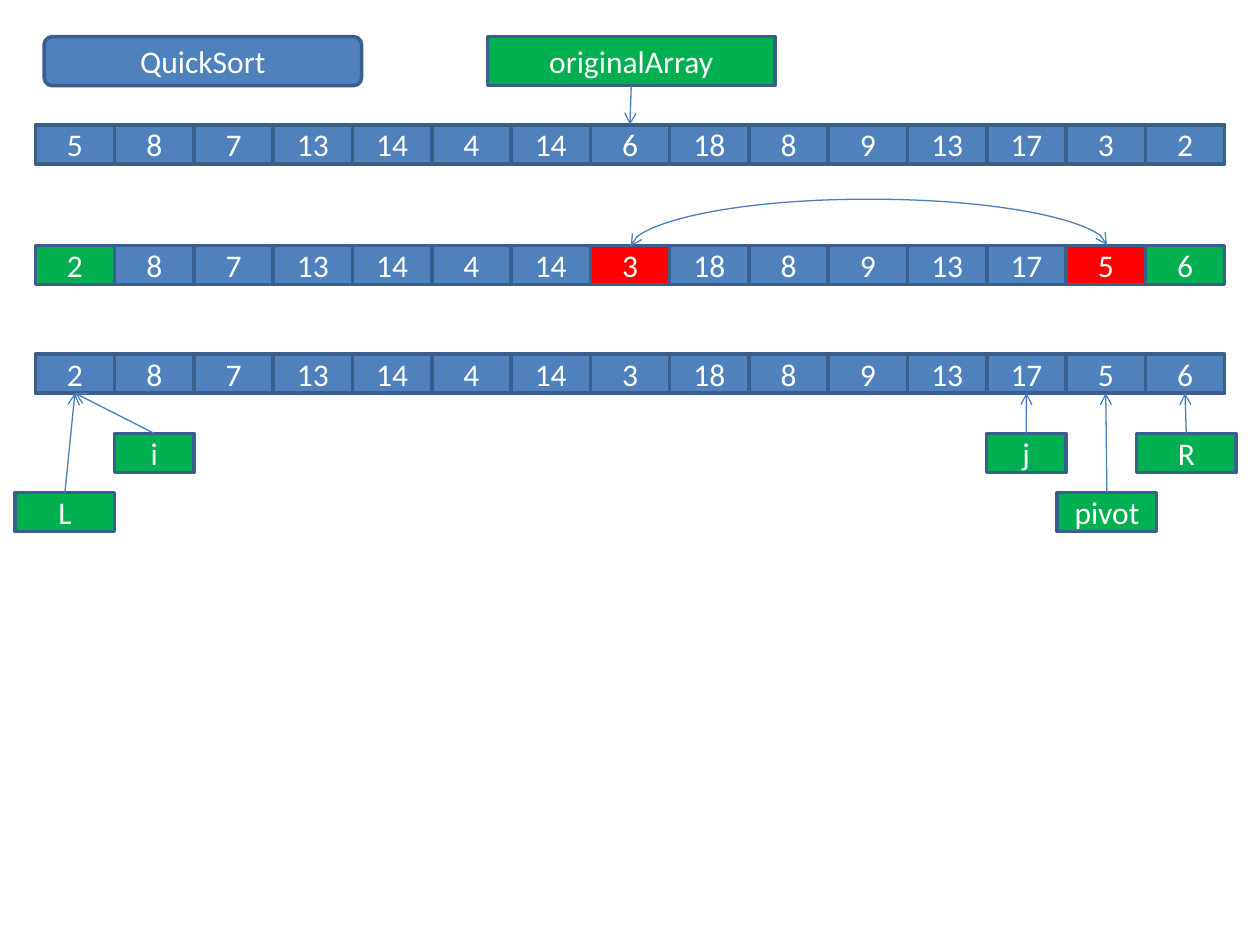
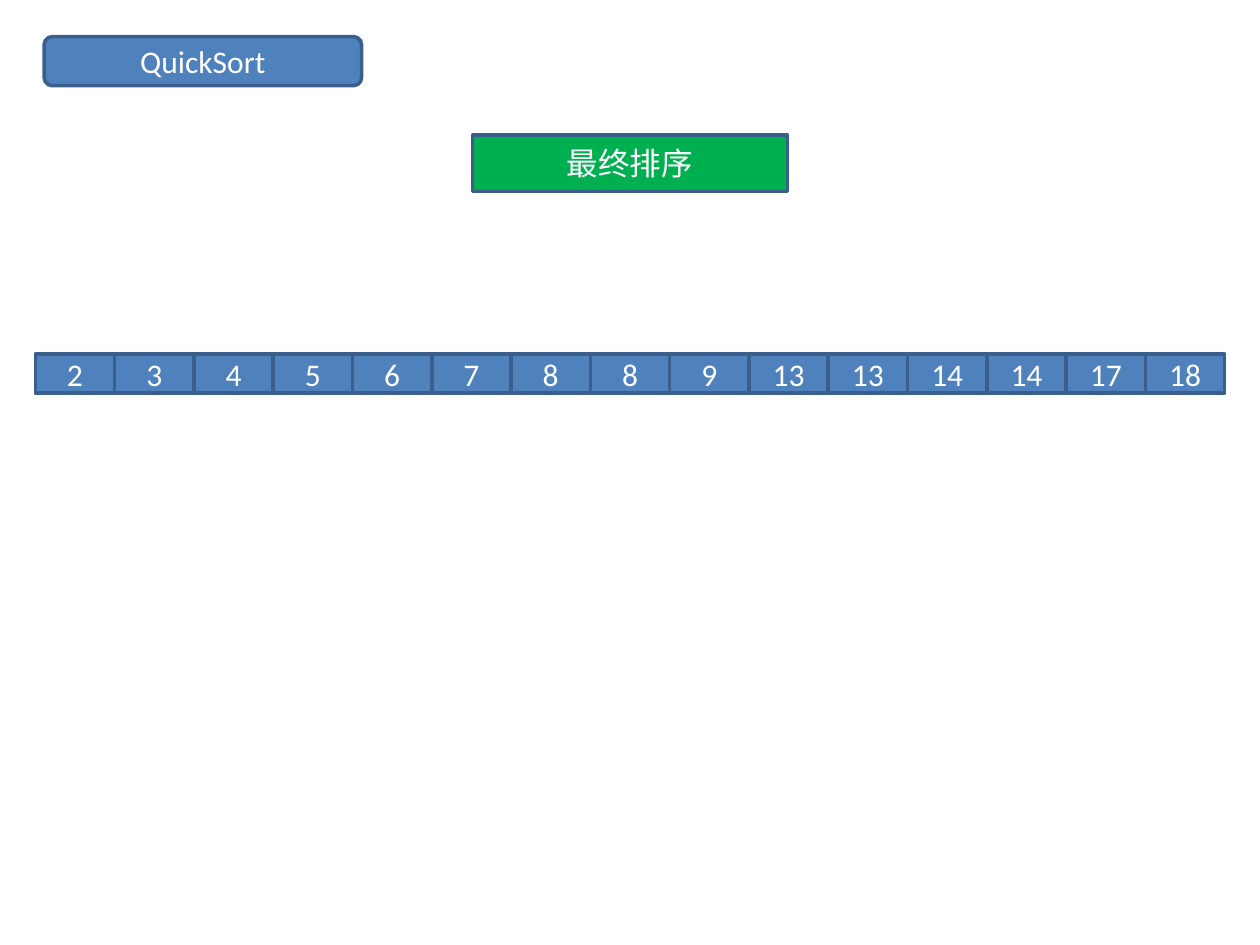
"""Build two slides that show a quicksort step and the sorted result."""
from pptx import Presentation
from pptx.dml.color import RGBColor
from pptx.enum.shapes import MSO_CONNECTOR, MSO_SHAPE
from pptx.enum.text import MSO_ANCHOR, PP_ALIGN
from pptx.oxml.ns import qn
from pptx.util import Inches, Pt
from lxml.etree import SubElement

BLUE, GREEN, RED = "4F81BD", "00B050", "FF0000"
EDGE, LINK, WHITE = "3A5F8C", "4B7EBC", "FFFFFF"
LEFT, STEP, HIGH = 0.28, 9.44 / 15, 0.31


def box(slide, text, x, y, w=STEP, h=HIGH, fill=BLUE, kind=MSO_SHAPE.RECTANGLE):
    shape = slide.shapes.add_shape(kind, Inches(x), Inches(y), Inches(w), Inches(h))
    shape.shadow.inherit = False
    shape.fill.solid()
    shape.fill.fore_color.rgb = RGBColor.from_string(fill)
    shape.line.color.rgb = RGBColor.from_string(EDGE)
    shape.line.width = Pt(2)
    frame = shape.text_frame
    frame.word_wrap = True
    frame.vertical_anchor = MSO_ANCHOR.MIDDLE
    para = frame.paragraphs[0]
    para.alignment = PP_ALIGN.CENTER
    run = para.add_run()
    run.text = text
    run.font.name = "Calibri"
    run.font.size = Pt(18)
    run.font.color.rgb = RGBColor.from_string(WHITE)


def arrow(slide, x1, y1, x2, y2, kind=MSO_CONNECTOR.STRAIGHT, ends=("a:tailEnd",)):
    link = slide.shapes.add_connector(kind, Inches(x1), Inches(y1), Inches(x2), Inches(y2))
    link.line.color.rgb = RGBColor.from_string(LINK)
    link.line.width = Pt(0.75)
    props = link._element.spPr
    for end in ends:
        SubElement(props.find(qn("a:ln")), qn(end), type="arrow")
    SubElement(props, qn("a:effectLst"))
    return props


deck = Presentation()
deck.slide_width, deck.slide_height = Inches(10), Inches(7.5)
first, last = [deck.slides.add_slide(deck.slide_layouts[6]) for _ in range(2)]
for slide in (first, last):
    box(slide, "QuickSort", 0.35, 0.29, 2.52, 0.39, kind=MSO_SHAPE.ROUNDED_RECTANGLE)

rows = [
    (first, 0.99, "5 8 7 13 14 4 14 6 18 8 9 13 17 3 2", {}),
    (first, 1.95, "2 8 7 13 14 4 14 3 18 8 9 13 17 5 6",
     {0: GREEN, 7: RED, 13: RED, 14: GREEN}),
    (first, 2.81, "2 8 7 13 14 4 14 3 18 8 9 13 17 5 6", {}),
    (last, 2.81, "2 3 4 5 6 7 8 8 9 13 13 14 14 17 18", {}),
]
for slide, top, nums, marks in rows:
    for col, num in enumerate(nums.split()):
        box(slide, num, LEFT + col * STEP, top, fill=marks.get(col, BLUE))

box(first, "originalArray", 3.87, 0.29, 2.28, 0.39, GREEN)
arrow(first, 5.01, 0.68, 5, 0.99)

swap = arrow(first, 6.9, 3.84, 6.89, 0.06, MSO_CONNECTOR.CURVE, ("a:headEnd", "a:tailEnd"))
swap.find(qn("a:xfrm")).set("rot", "5400000")
bend = swap.find(qn("a:prstGeom")).find(qn("a:avLst"))
SubElement(bend, qn("a:gd"), name="adj1", fmla="val 3800000")

tags = [
    ("i", 0.91, 3.44, STEP, 0),
    ("j", 7.83, 3.44, STEP, 12),
    ("pivot", 8.39, 3.91, 0.79, 13),
    ("R", 9.02, 3.44, 0.79, 14),
    ("L", 0.12, 3.91, 0.79, 0),
]
for name, x, y, wide, col in tags:
    box(first, name, x, y, wide, fill=GREEN)
    arrow(first, x + wide / 2, y, LEFT + (col + 0.5) * STEP, 2.81 + HIGH)

box(last, "最终排序", 3.75, 1.07, 2.5, 0.45, GREEN)
deck.save("out.pptx")
